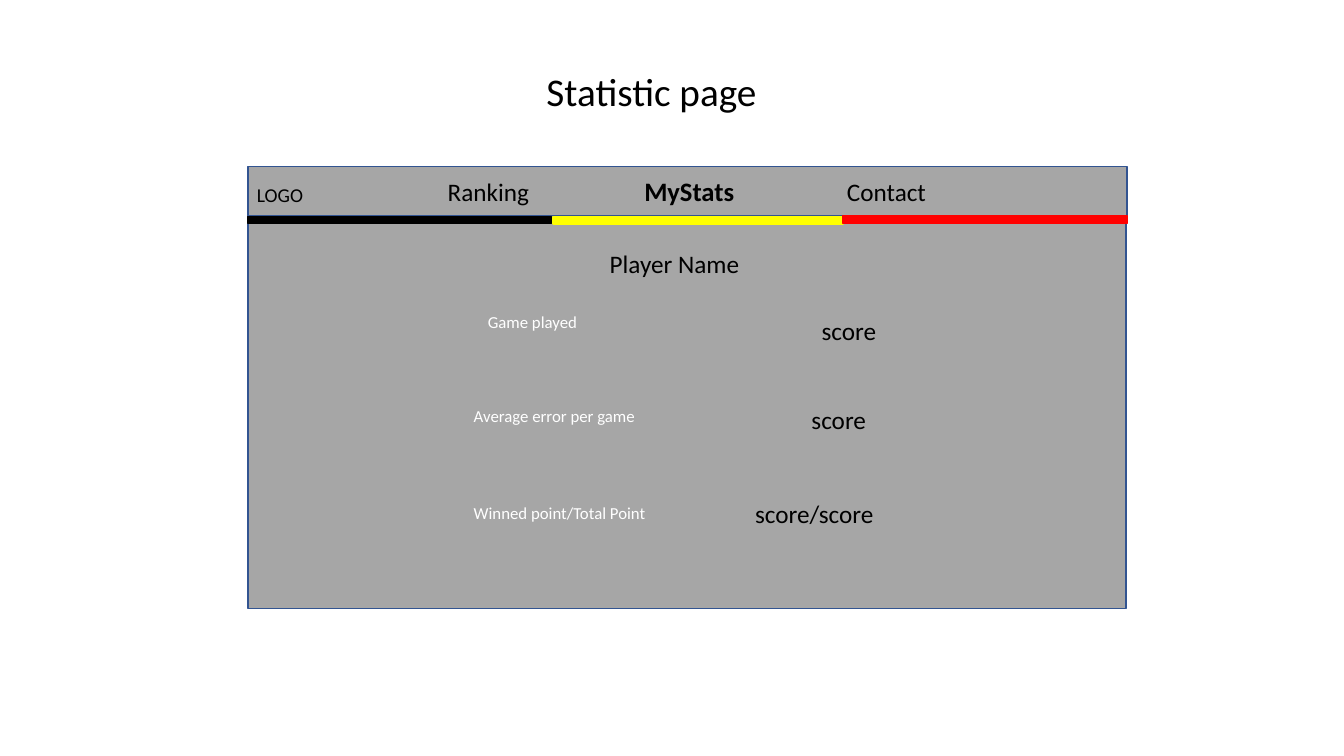
from dataclasses import dataclass

from pptx import Presentation
from pptx.dml.color import RGBColor
from pptx.enum import shapes, text
from pptx.oxml import parse_xml
from pptx.oxml.ns import nsdecls
from pptx.util import Inches, Pt


@dataclass(frozen=True)
class Theme:
    font: str = "Calibri"
    black: str = "000000"
    white: str = "FFFFFF"
    panel: str = "A6A6A6"
    outline: str = "325491"
    yellow: str = "FFFF00"
    red: str = "FF0000"
    title: int = 28
    active: int = 19
    body: int = 18
    logo: int = 14
    caption: int = 12


@dataclass(frozen=True)
class Box:
    left: float
    top: float
    width: float
    height: float

    def place(self) -> tuple:
        return tuple(Inches(n) for n in (self.left, self.top, self.width, self.height))


@dataclass(frozen=True)
class Block:
    box: Box
    fill: str
    line: str | None = None
    weight: float = 1


@dataclass(frozen=True)
class Label:
    wording: str
    box: Box
    size: int
    color: str


THEME = Theme()

# Navigation bar, page body and flag stripe
NAV = Block(Box(2.46, 1.65, 8.72, 0.49), THEME.panel, THEME.outline)
PAGE = Block(Box(2.46, 2.14, 8.71, 3.9), THEME.panel, THEME.outline)
STRIPES = [
    Block(Box(5.49, 2.15, 2.87, 0.07), THEME.yellow, THEME.yellow, 1.5),
    Block(Box(8.36, 2.14, 2.82, 0.08), THEME.red, THEME.red),
    Block(Box(2.46, 2.15, 3.01, 0.07), THEME.black, THEME.black),
]
PLAYER = Block(Box(4.84, 2.33, 3.7, 0.57), THEME.panel)

# Menu entries start at these distances from the slide's left edge
MENU = [("Ranking", 4.44), ("MyStats", 6.39), ("Contact", 8.4)]
ACTIVE_PAGE = "MyStats"

LABELS = [
    Label("LOGO", Box(2.45, 1.77, 1, 0.34), THEME.logo, THEME.black),
    Label("Game played", Box(4.74, 3.04, 1.56, 0.3), THEME.caption, THEME.white),
    Label("score", Box(8.05, 3.08, 0.77, 0.4), THEME.body, THEME.black),
    Label("Average error per game", Box(4.6, 3.98, 1.96, 0.3), THEME.caption, THEME.white),
    Label("score", Box(7.95, 3.96, 0.77, 0.4), THEME.body, THEME.black),
    Label("Winned point/Total Point", Box(4.6, 4.94, 2.22, 0.3), THEME.caption, THEME.white),
    Label("score/score", Box(7.39, 4.89, 1.52, 0.4), THEME.body, THEME.black),
]


def add_run(paragraph, wording: str, size: int, color: str, bold: bool = False) -> None:
    run = paragraph.add_run()
    run.text = wording
    run.font.name = THEME.font
    run.font.size = Pt(size)
    run.font.bold = bold
    run.font.color.rgb = RGBColor.from_string(color)


def add_block(slide, block: Block):
    rect = slide.shapes.add_shape(shapes.MSO_SHAPE.RECTANGLE, *block.box.place())
    rect.shadow.inherit = False
    rect.fill.solid()
    rect.fill.fore_color.rgb = RGBColor.from_string(block.fill)
    if block.line:
        rect.line.color.rgb = RGBColor.from_string(block.line)
        rect.line.width = Pt(block.weight)
    else:
        rect.line.fill.background()
    return rect


def write_label(holder, label: Label) -> None:
    frame = holder.text_frame
    frame.word_wrap = True
    frame.auto_size = text.MSO_AUTO_SIZE.SHAPE_TO_FIT_TEXT
    frame.vertical_anchor = text.MSO_ANCHOR.TOP
    paragraph = frame.paragraphs[0]
    paragraph.alignment = text.PP_ALIGN.LEFT
    add_run(paragraph, label.wording, label.size, label.color)


def write_menu(bar) -> None:
    start = MENU[0][1]
    frame = bar.text_frame
    frame.margin_left = Inches(start - NAV.box.left)
    frame.vertical_anchor = text.MSO_ANCHOR.MIDDLE
    paragraph = frame.paragraphs[0]
    paragraph.alignment = text.PP_ALIGN.LEFT
    stops = "".join(
        f'<a:tab pos="{Inches(left - start)}" algn="l"/>' for _, left in MENU[1:]
    )
    tabs = parse_xml(f'<a:tabLst {nsdecls("a")}>{stops}</a:tabLst>')
    paragraph._p.get_or_add_pPr().append(tabs)
    for index, (entry, _) in enumerate(MENU):
        active = entry == ACTIVE_PAGE
        size = THEME.active if active else THEME.body
        add_run(paragraph, ("\t" if index else "") + entry, size, THEME.black, active)


def main() -> None:
    deck = Presentation()
    deck.slide_width, deck.slide_height = Inches(13.33), Inches(7.5)
    slide = deck.slides.add_slide(deck.slide_layouts[5])

    # Title
    heading = Label("Statistic page", Box(5.32, 0.62, 2.81, 0.57), THEME.title, THEME.black)
    title = slide.shapes.title
    title.left, title.top, title.width, title.height = heading.box.place()
    write_label(title, heading)

    # Page frame
    write_menu(add_block(slide, NAV))
    for block in (PAGE, *STRIPES):
        add_block(slide, block)

    # Statistics
    for label in LABELS:
        write_label(slide.shapes.add_textbox(*label.box.place()), label)

    # Player heading
    player_frame = add_block(slide, PLAYER).text_frame
    player_frame.vertical_anchor = text.MSO_ANCHOR.MIDDLE
    player_name = player_frame.paragraphs[0]
    player_name.alignment = text.PP_ALIGN.CENTER
    add_run(player_name, "Player Name", THEME.body, THEME.black)

    deck.save("out.pptx")


if __name__ == "__main__":
    main()
